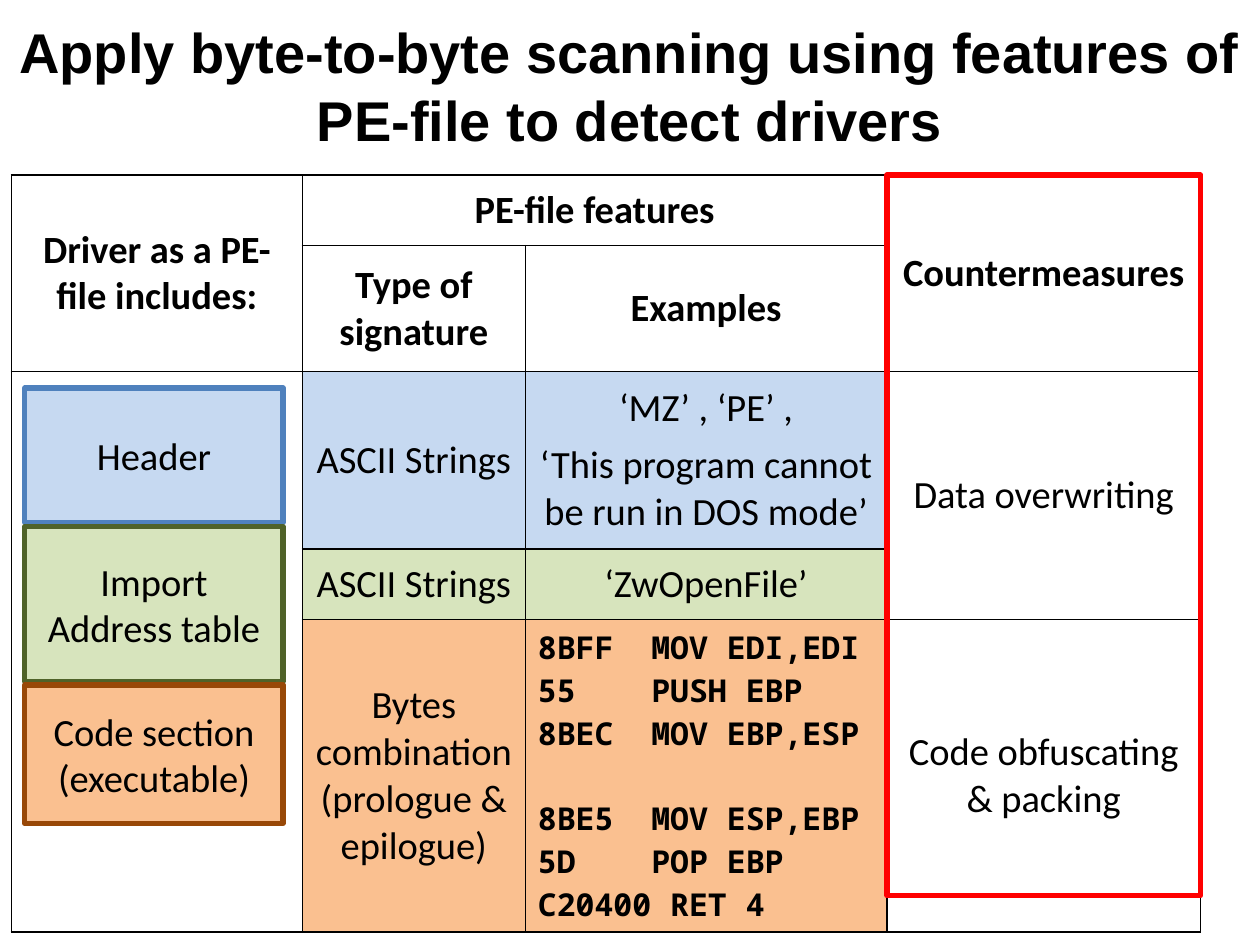
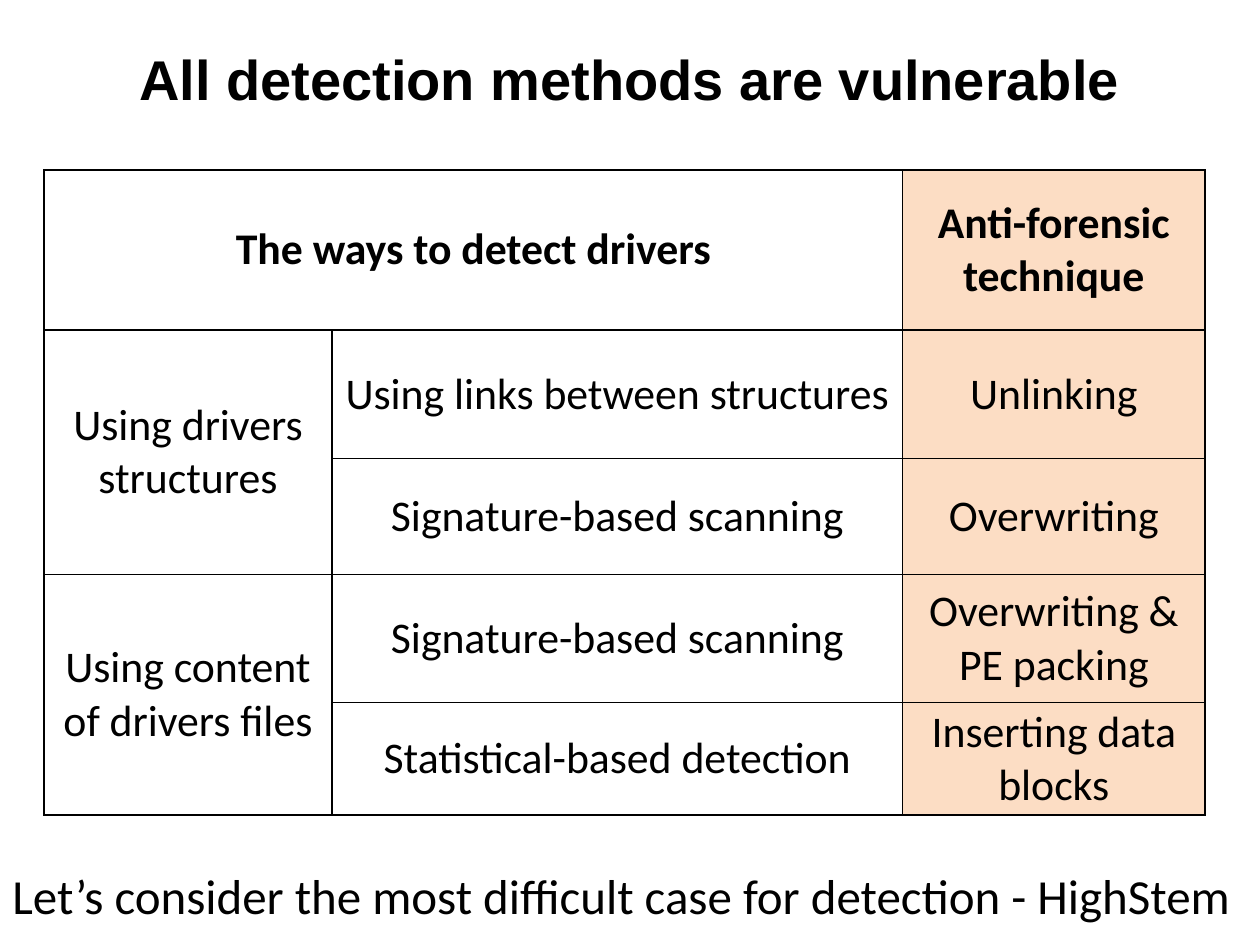
from lxml import etree
from pptx import Presentation
from pptx.dml.color import RGBColor
from pptx.enum import shapes, text
from pptx.oxml import ns
from pptx.util import Pt

# Shared look
BLACK = RGBColor(0x00, 0x00, 0x00)
RED = RGBColor(0xFF, 0x00, 0x00)
LIGHT_BLUE = RGBColor(0xC6, 0xD9, 0xF1)
LIGHT_GREEN = RGBColor(0xD7, 0xE4, 0xBD)
LIGHT_ORANGE = RGBColor(0xFA, 0xC0, 0x90)
BLUE = RGBColor(0x4F, 0x81, 0xBD)
GREEN = RGBColor(0x4F, 0x62, 0x28)
BROWN = RGBColor(0x98, 0x48, 0x07)
TITLE_FONT, BODY_FONT, CODE_FONT = "Arial", "Calibri", "Noto Sans Mono"
CENTER, LEFT = text.PP_ALIGN.CENTER, text.PP_ALIGN.LEFT
MIDDLE, TOP = text.MSO_ANCHOR.MIDDLE, text.MSO_ANCHOR.TOP

# Driver parts: text, fill, outline, height
DRIVER_PARTS = [
    ("Header", LIGHT_BLUE, BLUE, 77),
    ("Import Address table", LIGHT_GREEN, GREEN, 88.5),
    ("Code section\n(executable)", LIGHT_ORANGE, BROWN, 79),
]
PROLOGUE = "8BFF  MOV EDI,EDI\n55    PUSH EBP\n8BEC  MOV EBP,ESP"
EPILOGUE = "8BE5  MOV ESP,EBP\n5D    POP EBP\nC20400 RET 4"
CODE_LINE = 24.4

# None marks a cell covered by a merged neighbour
FEATURES = [
    ["Driver as a PE-file includes:", "PE-file features", None, "Countermeasures"],
    [None, "Type of signature", "Examples", None],
    ["", "ASCII Strings",
     "‘MZ’ , ‘PE’ ,\n‘This program cannot be run in DOS mode’", "Data overwriting"],
    [None, "ASCII Strings", "‘ZwOpenFile’", None],
    [None, "Bytes combination\n(prologue & epilogue)", PROLOGUE + "\n" + EPILOGUE,
     "Code obfuscating & packing"],
]
METHODS = [
    ["The ways to detect drivers", None, "Anti-forensic technique"],
    ["Using drivers structures", "Using links between structures", "Unlinking"],
    [None, "Signature-based scanning", "Overwriting"],
    ["Using content of drivers files", "Signature-based scanning",
     "Overwriting & PE packing"],
    [None, "Statistical-based detection", "Inserting data blocks"],
]


def write(text_frame, words, size, font=BODY_FONT, bold=False,
          alignment=CENTER, anchor=MIDDLE):
    text_frame.text = words
    text_frame.word_wrap = True
    text_frame.vertical_anchor = anchor
    for paragraph in text_frame.paragraphs:
        paragraph.alignment = alignment
        for run in paragraph.runs:
            run.font.name = font
            run.font.size = Pt(size)
            run.font.bold = bold
            run.font.color.rgb = BLACK


def add_text(slide, box, words, size, **style):
    shape = slide.shapes.add_textbox(*map(Pt, box))
    write(shape.text_frame, words, size, **style)


def add_title(slide, box, words):
    add_text(slide, box, words, 32, font=TITLE_FONT, bold=True)


def add_rectangle(slide, box, line, fill=None, words=""):
    shape = slide.shapes.add_shape(shapes.MSO_SHAPE.RECTANGLE, *map(Pt, box))
    shape.shadow.inherit = False
    shape.line.color.rgb = line
    shape.line.width = Pt(3)
    if fill is None:
        shape.fill.background()
    else:
        shape.fill.solid()
        shape.fill.fore_color.rgb = fill
    if words:
        write(shape.text_frame, words, 22)


def add_borders(cell):
    properties = cell._tc.get_or_add_tcPr()
    for side in ("a:lnL", "a:lnR", "a:lnT", "a:lnB"):
        line = etree.SubElement(properties, ns.qn(side), w=str(Pt(1)))
        fill = etree.SubElement(line, ns.qn("a:solidFill"))
        etree.SubElement(fill, ns.qn("a:srgbClr"), val=str(BLACK))


def fill_cell(cell, color, opacity=100):
    cell.fill.solid()
    cell.fill.fore_color.rgb = color
    if opacity < 100:
        color_element = cell._tc.tcPr.find(ns.qn("a:solidFill"))[0]
        etree.SubElement(color_element, ns.qn("a:alpha"), val=str(opacity * 1000))


def add_table(slide, position, widths, heights, rows, merges, header_rows, size,
              margins):
    """Merges are (first row, first column, last row, last column)."""
    frame = slide.shapes.add_table(len(rows), len(widths), *map(Pt, position),
                                   Pt(sum(widths)), Pt(sum(heights)))
    table = frame.table
    table.first_row = table.horz_banding = False
    for column, width in zip(table.columns, widths):
        column.width = Pt(width)
    for row, height in zip(table.rows, heights):
        row.height = Pt(height)
    for top, left, bottom, right in merges:
        table.cell(top, left).merge(table.cell(bottom, right))
    for row_index, row in enumerate(rows):
        for column_index, words in enumerate(row):
            cell = table.cell(row_index, column_index)
            add_borders(cell)
            cell.fill.background()
            cell.margin_left = cell.margin_right = Pt(margins[0])
            cell.margin_top = cell.margin_bottom = Pt(margins[1])
            cell.vertical_anchor = MIDDLE
            if words:
                write(cell.text_frame, words, size, bold=row_index < header_rows)
                cell.vertical_anchor = MIDDLE
    return table


def build_features_slide(slide):
    widths = [166.3, 127.4, 206.6, 179.3]
    heights = [40.3, 72, 101.5, 40.3, 157.7]
    left, top = 6.5, 100
    table = add_table(slide, (left, top), widths, heights, FEATURES,
                      [(0, 0, 1, 0), (0, 1, 0, 2), (0, 3, 1, 3),
                       (2, 0, 4, 0), (2, 3, 3, 3)],
                      header_rows=2, size=22, margins=(7.2, 3.6))
    for row, (_, color, _, _) in enumerate(DRIVER_PARTS, start=2):
        for column in (1, 2):
            fill_cell(table.cell(row, column), color)
    table.cell(2, 2).text_frame.paragraphs[0].space_after = Pt(6)

    # Code listing, with a gap of one line before the epilogue
    code = table.cell(4, 2).text_frame
    write(code, FEATURES[4][2], 18, font=CODE_FONT, bold=True, alignment=LEFT)
    code.paragraphs[len(PROLOGUE.splitlines())].space_before = Pt(CODE_LINE)

    add_title(slide, (0, 3.6, 720, 90),
              "Apply byte-to-byte scanning using features of PE-file to detect drivers")

    # Stacked driver parts
    part_top, gap = 221.8, 2.1
    for words, fill, line, height in DRIVER_PARTS:
        add_rectangle(slide, (14.2, part_top, 147.6, height), line, fill, words)
        part_top += height + gap

    # Frame around the countermeasures
    add_rectangle(slide, (left + sum(widths[:3]), top, widths[3], sum(heights)), RED)


def build_methods_slide(slide):
    add_title(slide, (36, 9.4, 648, 70.6), "All detection methods are vulnerable")
    add_text(slide, (0, 491, 721.4, 41),
             "Let’s consider the most difficult case for detection - HighStem",
             28, alignment=LEFT, anchor=TOP)
    table = add_table(slide, (25.2, 97.2), [164.4, 326.2, 172.8],
                      [91.4, 73.4, 66.2, 73.4, 64.1], METHODS,
                      [(0, 0, 0, 1), (1, 0, 2, 0), (3, 0, 4, 0)],
                      header_rows=1, size=25, margins=(5, 0))
    for row in range(len(METHODS)):
        fill_cell(table.cell(row, 2), LIGHT_ORANGE, opacity=53)


def main():
    presentation = Presentation()
    presentation.slide_width, presentation.slide_height = Pt(720), Pt(540)
    blank = presentation.slide_layouts[6]
    for build in (build_features_slide, build_methods_slide):
        build(presentation.slides.add_slide(blank))
    presentation.save("out.pptx")


if __name__ == "__main__":
    main()
